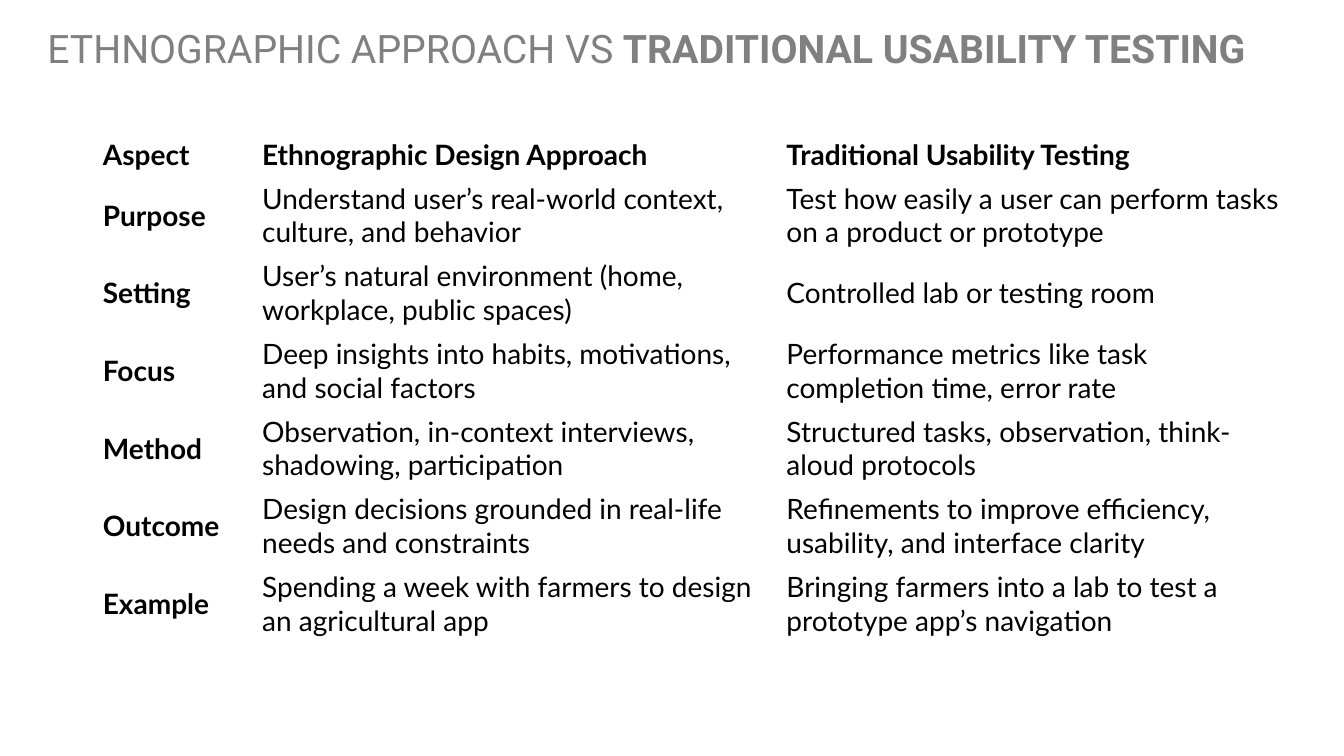
"""Build a slide comparing ethnographic design with usability testing."""
from pptx import Presentation
from pptx.dml.color import RGBColor
from pptx.enum.text import MSO_ANCHOR, PP_ALIGN
from pptx.util import Inches, Pt

COLORS = {"title": "808080", "text": "000000"}
TITLE = [("ETHNOGRAPHIC APPROACH VS ", False), ("TRADITIONAL USABILITY TESTING", True)]
ROWS = [
    ("Aspect", "Ethnographic Design Approach", "Traditional Usability Testing"),
    ("Purpose", "Understand user’s real-world context, culture, and behavior",
     "Test how easily a user can perform tasks on a product or prototype"),
    ("Setting", "User’s natural environment (home, workplace, public spaces)",
     "Controlled lab or testing room"),
    ("Focus", "Deep insights into habits, motivations, and social factors",
     "Performance metrics like task completion time, error rate"),
    ("Method", "Observation, in-context interviews, shadowing, participation",
     "Structured tasks, observation, think-aloud protocols"),
    ("Outcome", "Design decisions grounded in real-life needs and constraints",
     "Refinements to improve efficiency, usability, and interface clarity"),
    ("Example", "Spending a week with farmers to design an agricultural app",
     "Bringing farmers into a lab to test a prototype app’s navigation"),
]
COL_WIDTHS = [1.58, 5.2, 5.2]
ROW_HEIGHTS = [0.44] + [0.77] * (len(ROWS) - 1)


def set_font(p, name, size, color):
    p.font.name = name
    p.font.size = Pt(size)
    p.font.color.rgb = RGBColor.from_string(COLORS[color])


def add_title(slide):
    sp = slide.shapes.title
    sp.left, sp.top, sp.width, sp.height = map(Inches, (0.37, 0.18, 12.52, 0.64))
    tf = sp.text_frame
    tf.word_wrap = True
    tf.vertical_anchor = MSO_ANCHOR.MIDDLE
    p = tf.paragraphs[0]
    p.alignment = PP_ALIGN.LEFT
    p.line_spacing = 0.9
    set_font(p, "Roboto", 28, "title")
    for text, bold in TITLE:
        r = p.add_run()
        r.text = text
        r.font.bold = bold


def add_comparison(slide):
    size = map(Inches, (0.92, 1.31, sum(COL_WIDTHS), sum(ROW_HEIGHTS)))
    table = slide.shapes.add_table(len(ROWS), len(COL_WIDTHS), *size).table
    table.first_row = table.horz_banding = False
    for column, width in zip(table.columns, COL_WIDTHS):
        column.width = Inches(width)
    for i, (row, height) in enumerate(zip(ROWS, ROW_HEIGHTS)):
        table.rows[i].height = Inches(height)
        for j, text in enumerate(row):
            cell = table.cell(i, j)
            cell.fill.background()
            cell.vertical_anchor = MSO_ANCHOR.MIDDLE
            cell.text = text
            p = cell.text_frame.paragraphs[0]
            set_font(p, "Lato", 20, "text")
            p.font.bold = i == 0 or j == 0


def main():
    prs = Presentation()
    prs.slide_width, prs.slide_height = Inches(13.33), Inches(7.5)
    slide = prs.slides.add_slide(prs.slide_layouts[5])
    add_title(slide)
    add_comparison(slide)
    prs.save("out.pptx")


if __name__ == "__main__":
    main()
